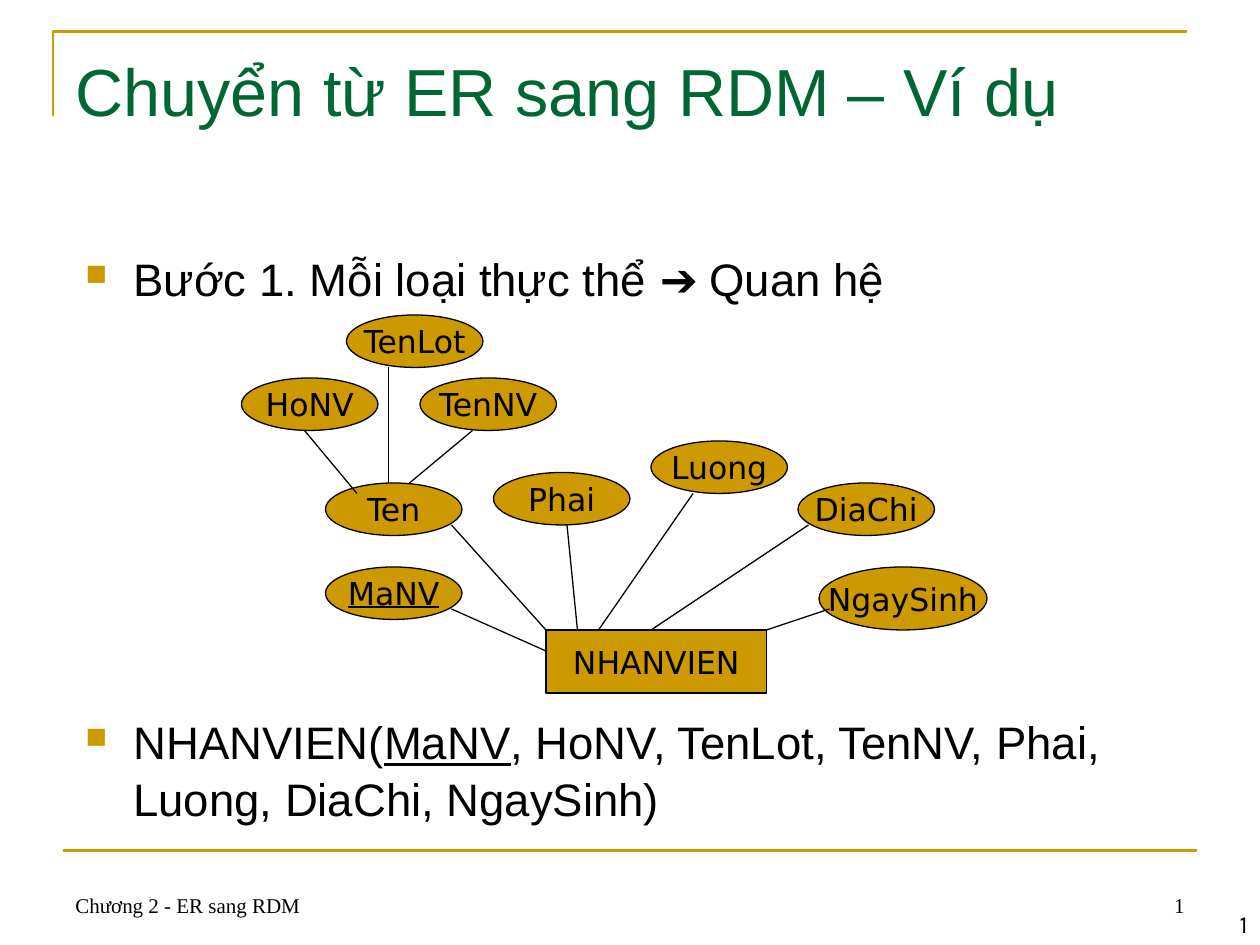
from lxml import etree
from pptx import Presentation
from pptx.dml.color import RGBColor
from pptx.enum import shapes, text
from pptx.oxml.ns import qn
from pptx.util import Inches, Pt

GOLD, GREEN, BLACK = "CC9900", "006633", "000000"
UNIT = 1 / 12

TITLE = "Chuyển từ ER sang RDM – Ví dụ"
BULLETS = [
    [("Bước 1. Mỗi loại thực thể ➔ Quan hệ", False)],
    [("NHANVIEN(", False), ("MaNV", True),
     (", HoNV, TenLot, TenNV, Phai, Luong, DiaChi, NgaySinh)", False)],
]
BULLET_GAPS = [0, 232]
FOOTERS = [
    ("Chương 2 - ER sang RDM", 0.5, 6.83, 2.33, "Times New Roman", 12, text.PP_ALIGN.LEFT),
    ("1", 7.17, 6.83, 2.33, "Times New Roman", 12, text.PP_ALIGN.RIGHT),
    ("1", 7.92, 7, 2.08, "Karla", 14, text.PP_ALIGN.RIGHT),
]

# Diagram positions are in twelfths of an inch.
ENTITY = ("NHANVIEN", 52, 60, 21, 6)
ATTRIBUTES = [
    ("MaNV", 31, 54, 13, 5),
    ("Ten", 31, 46, 13, 5),
    ("HoNV", 23, 36, 13, 5),
    ("TenLot", 33, 30, 13, 5),
    ("TenNV", 40, 36, 13, 5),
    ("Phai", 47, 45, 13, 5),
    ("Luong", 62, 42, 13, 5),
    ("DiaChi", 76, 46, 13, 5),
    ("NgaySinh", 78, 54, 16, 6),
]
KEY = "MaNV"
LINKS = [
    (52, 62, 43, 58), (52, 60, 43, 50),
    (34, 47, 29, 41), (37, 46, 37, 35), (39, 46, 45, 41),
    (55, 60, 54, 50), (57, 60, 66, 47), (62, 60, 77, 50), (73, 60, 79, 58),
]


def color(value):
    return RGBColor.from_string(value)


def set_font(font, name, size, value=BLACK):
    font.name, font.size = name, Pt(size)
    font.color.rgb = color(value)


def add_line(parent, ends, value, width):
    line = parent.add_connector(shapes.MSO_CONNECTOR.STRAIGHT, *map(Inches, ends))
    line.line.color.rgb = color(value)
    line.line.width = Pt(width)
    etree.SubElement(line._element.spPr, qn("a:effectLst"))


def add_node(parent, kind, node):
    label, *box = node
    shape = parent.add_shape(kind, *(Inches(v * UNIT) for v in box))
    shape.shadow.inherit = False
    shape.fill.solid()
    shape.fill.fore_color.rgb = color(GOLD)
    shape.line.color.rgb = color(BLACK)
    shape.line.width = Pt(0.75)
    frame = shape.text_frame
    frame.word_wrap = False
    frame.vertical_anchor = text.MSO_ANCHOR.MIDDLE
    paragraph = frame.paragraphs[0]
    paragraph.text = label
    paragraph.alignment = text.PP_ALIGN.CENTER
    set_font(paragraph.font, "DejaVu Sans", 18)
    if label == KEY:
        paragraph.font.underline = True


def add_bullet(paragraph):
    props = paragraph._p.get_or_add_pPr()
    props.set("marL", str(Inches(0.38)))
    props.set("indent", str(-Inches(0.38)))
    etree.SubElement(etree.SubElement(props, qn("a:buClr")), qn("a:srgbClr"), val=GOLD)
    etree.SubElement(props, qn("a:buSzPct"), val="65000")
    etree.SubElement(props, qn("a:buChar"), char="■")


def add_text(slide, left, top, width, height):
    frame = slide.shapes.add_textbox(*map(Inches, (left, top, width, height))).text_frame
    frame.word_wrap = True
    return frame


def main():
    deck = Presentation()
    deck.slide_width, deck.slide_height = Inches(10), Inches(7.5)
    slide = deck.slides.add_slide(deck.slide_layouts[5])

    builder = slide.shapes.build_freeform(Inches(0.42), Inches(0.92))
    builder.add_line_segments(
        [(Inches(0.42), Inches(0.25)), (Inches(9.42), Inches(0.25))], close=False)
    corner = builder.convert_to_shape()
    corner.shadow.inherit = False
    corner.fill.background()
    corner.line.color.rgb = color(GOLD)
    corner.line.width = Pt(1.5)
    add_line(slide.shapes, (0.5, 6.75, 9.5, 6.75), GOLD, 1.5)

    for label, left, top, width, font, size, align in FOOTERS:
        frame = add_text(slide, left, top, width, 0.5)
        frame.vertical_anchor = text.MSO_ANCHOR.BOTTOM
        paragraph = frame.paragraphs[0]
        paragraph.text = label
        paragraph.alignment = align
        set_font(paragraph.font, font, size)

    title = slide.shapes.title
    title.left, title.top, title.width, title.height = map(Inches, (0.5, 0.3, 9, 0.78))
    title.text_frame.auto_size = text.MSO_AUTO_SIZE.NONE
    title.text_frame.vertical_anchor = text.MSO_ANCHOR.BOTTOM
    heading = title.text_frame.paragraphs[0]
    heading.text = TITLE
    heading.alignment = text.PP_ALIGN.LEFT
    set_font(heading.font, "Arial", 38, GREEN)

    body = add_text(slide, 0.58, 1.92, 8.75, 4.83)
    for index, (runs, gap) in enumerate(zip(BULLETS, BULLET_GAPS)):
        paragraph = body.add_paragraph() if index else body.paragraphs[0]
        add_bullet(paragraph)
        paragraph.line_spacing = 1.05
        paragraph.space_before = Pt(gap)
        set_font(paragraph.font, "Arial", 26)
        for words, underlined in runs:
            run = paragraph.add_run()
            run.text = words
            if underlined:
                run.font.underline = True

    diagram = slide.shapes.add_group_shape().shapes
    add_node(diagram, shapes.MSO_SHAPE.RECTANGLE, ENTITY)
    for attribute in ATTRIBUTES:
        add_node(diagram, shapes.MSO_SHAPE.OVAL, attribute)
    for link in LINKS:
        add_line(diagram, [v * UNIT for v in link], BLACK, 0.75)

    deck.save("out.pptx")


if __name__ == "__main__":
    main()
